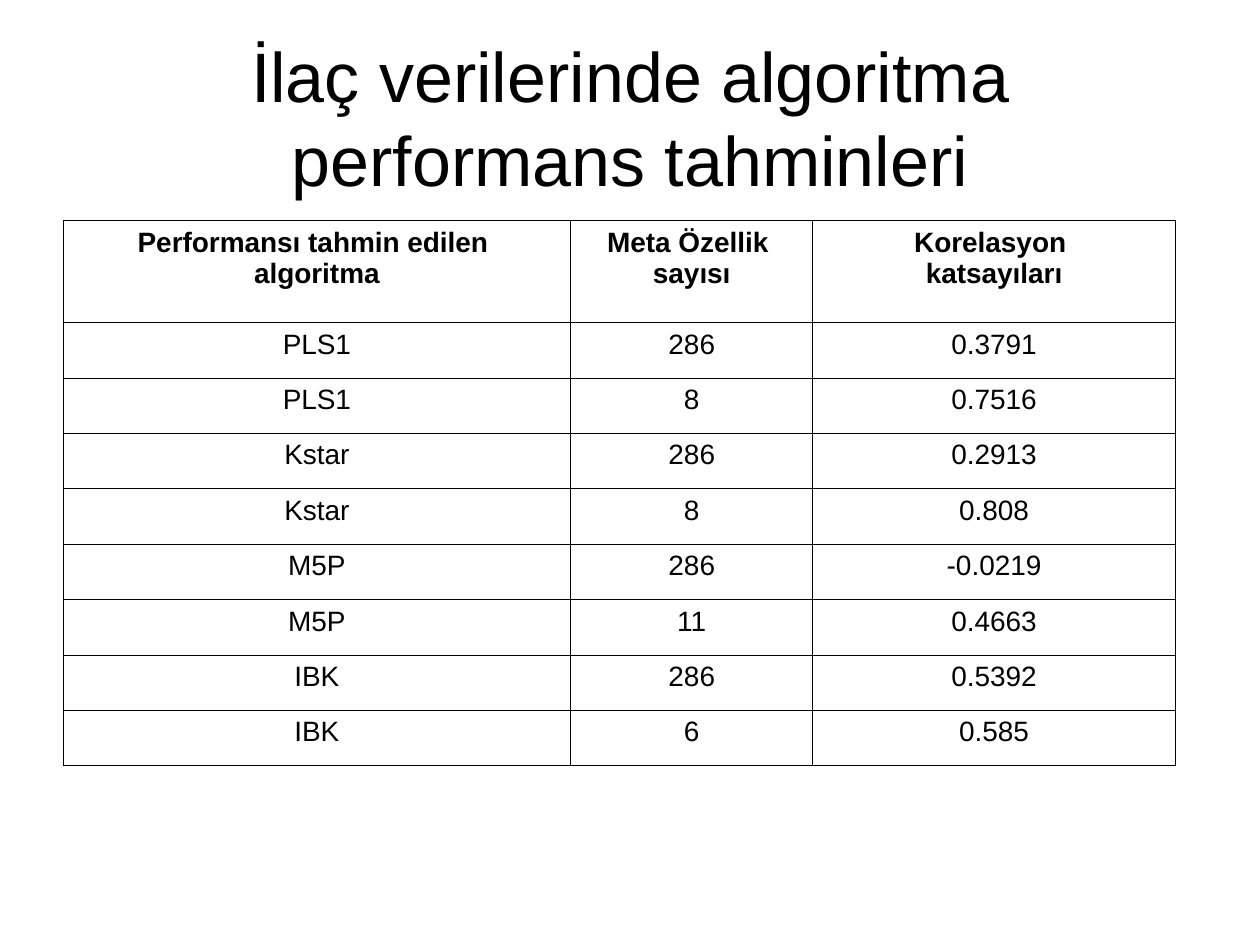
from lxml import etree
from pptx import Presentation
from pptx import util as u
from pptx.dml.color import RGBColor
from pptx.enum import text
from pptx.oxml.ns import qn

FONT = "Arial"
BLACK = "000000"
HEADERS = ["Performansı tahmin edilen \nalgoritma", "Meta Özellik \nsayısı",
           "Korelasyon \nkatsayıları"]
RESULTS = [
    ("PLS1", "286", "0.3791"),
    ("PLS1", "8", "0.7516"),
    ("Kstar", "286", "0.2913"),
    ("Kstar", "8", "0.808"),
    ("M5P", "286", "-0.0219"),
    ("M5P", "11", "0.4663"),
    ("IBK", "286", "0.5392"),
    ("IBK", "6", "0.585"),
]
COL_WIDTHS = [4.03, 1.92, 2.88]
HEADER_HEIGHT, ROW_HEIGHT = 0.81, 0.44


def rgb(value):
    return RGBColor.from_string(value)


def format_text(tf, size, bold=False):
    for p in tf.paragraphs:
        p.alignment = text.PP_ALIGN.CENTER
        for r in p.runs:
            for name, value in {"name": FONT, "size": u.Pt(size), "bold": bold}.items():
                setattr(r.font, name, value)
            r.font.color.rgb = rgb(BLACK)


def add_borders(cell, color, width):
    tcPr = cell._tc.get_or_add_tcPr()
    for i, side in enumerate(("lnL", "lnR", "lnT", "lnB")):
        ln = etree.Element(qn(f"a:{side}"), w=str(u.Pt(width)))
        fill = etree.SubElement(ln, qn("a:solidFill"))
        etree.SubElement(fill, qn("a:srgbClr"), val=color)
        tcPr.insert(i, ln)


def add_title(s, left, top, width, height):
    sp = s.shapes.title
    box = {"left": left, "top": top, "width": width, "height": height}
    for name, value in box.items():
        setattr(sp, name, u.Inches(value))
    tf = sp.text_frame
    tf.text = "İlaç verilerinde algoritma performans tahminleri"
    tf.vertical_anchor = text.MSO_ANCHOR.MIDDLE
    tf.auto_size = text.MSO_AUTO_SIZE.NONE
    format_text(tf, 40)


def fill_cell(cell, value, bold):
    cell.text = value
    cell.fill.background()
    add_borders(cell, BLACK, 0.45)
    for p in cell.text_frame.paragraphs:
        pPr = p._p.get_or_add_pPr()
        pPr.set("marL", str(u.Inches(0.38)))
        pPr.set("indent", str(u.Inches(-0.38)))
    format_text(cell.text_frame, 16, bold)


def add_results(s, left, top):
    rows = [HEADERS, *RESULTS]
    heights = [HEADER_HEIGHT] + [ROW_HEIGHT] * len(RESULTS)
    box = (left, top, sum(COL_WIDTHS), sum(heights))
    table = s.shapes.add_table(len(rows), len(COL_WIDTHS), *map(u.Inches, box)).table
    table.first_row = table.horz_banding = False
    for col, width in zip(table.columns, COL_WIDTHS):
        col.width = u.Inches(width)
    for i, (row, height) in enumerate(zip(table.rows, heights)):
        row.height = u.Inches(height)
        for cell, value in zip(row.cells, rows[i]):
            fill_cell(cell, value, bold=i == 0)


def main():
    prs = Presentation()
    prs.slide_width, prs.slide_height = u.Inches(10), u.Inches(7.5)
    s = prs.slides.add_slide(prs.slide_layouts[5])
    add_title(s, 0.5, 0.3, 9, 1.25)
    add_results(s, 0.5, 1.75)
    prs.save("out.pptx")


if __name__ == "__main__":
    main()
